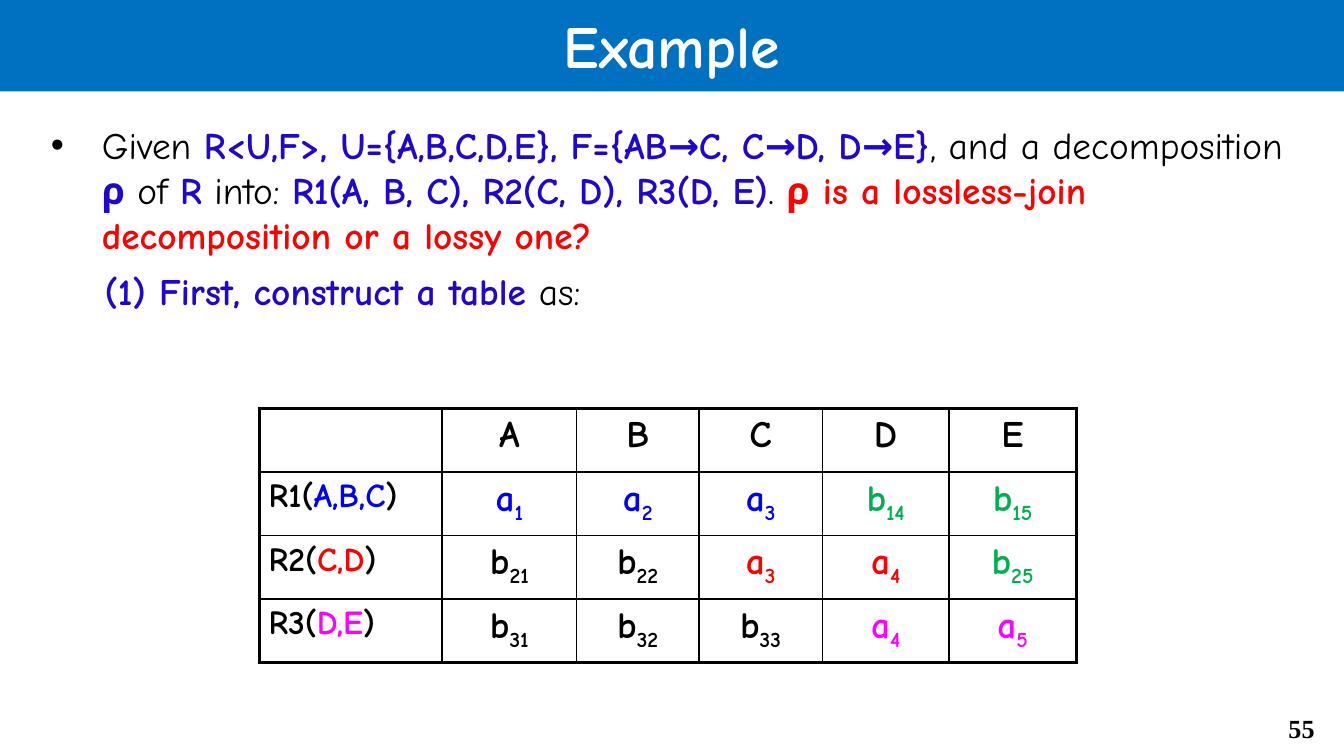
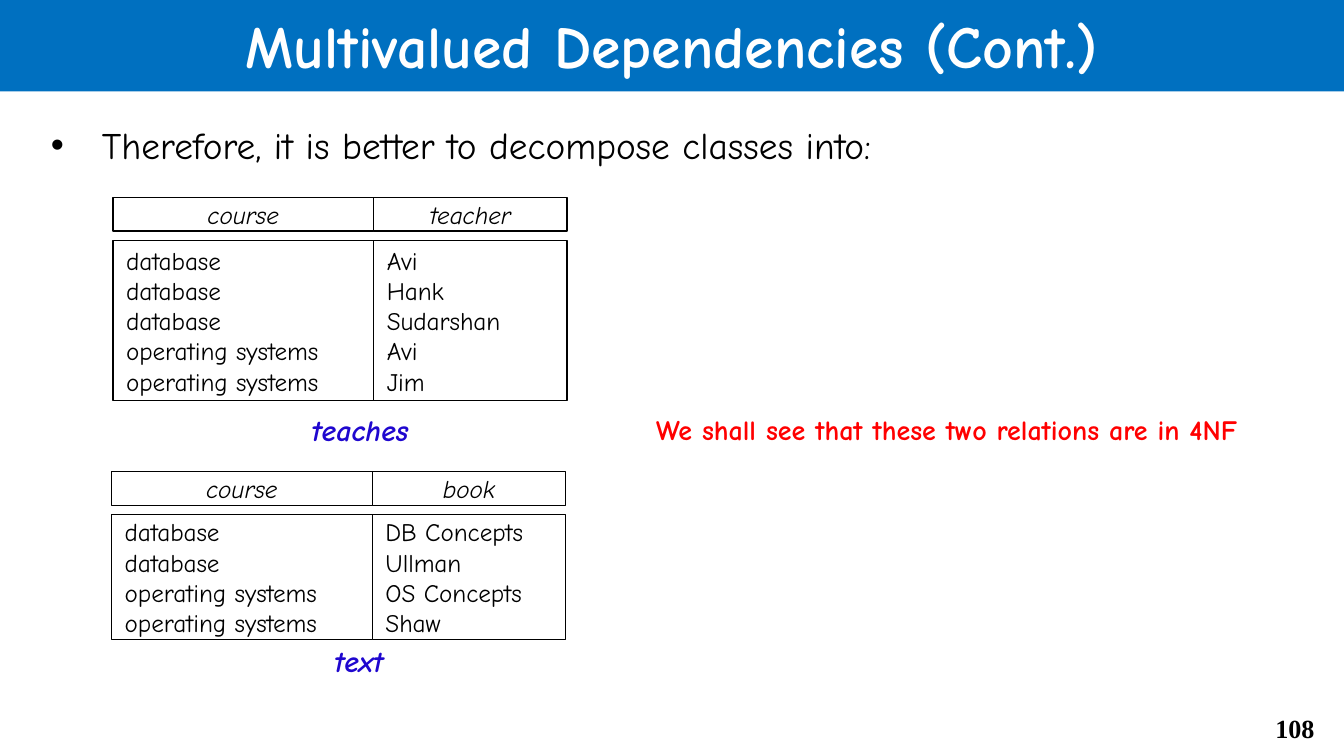
from dataclasses import dataclass

from lxml.etree import SubElement
from pptx import Presentation
from pptx.dml.color import RGBColor
from pptx.enum.shapes import MSO_SHAPE as Shape
from pptx.enum.text import MSO_ANCHOR as Anchor, MSO_AUTO_SIZE as AutoSize, PP_ALIGN as Align
from pptx.oxml.ns import qn
from pptx.util import Inches, Pt


@dataclass(frozen=True)
class Theme:
    font: str = "Comic Neue"
    number_font: str = "Times New Roman"
    band: str = "0070C0"
    white: str = "FFFFFF"
    black: str = "000000"
    indigo: str = "1F07CF"
    red: str = "FF0000"
    blue: str = "0000FF"
    green: str = "00B050"
    magenta: str = "FF00FF"
    title_size: float = 32
    body_size: float = 20
    label_size: float = 18
    caption_size: float = 16
    remark_size: float = 15
    number_size: float = 14
    relation_size: float = 13.5


THEME = Theme()
BODY_BOX = (0.28, 0.86, 9.37, 4.16)


# Text helpers
def add_run(paragraph, text, size, color=THEME.black, bold=False, italic=False,
            font=THEME.font, baseline=0):
    run = paragraph.add_run()
    run.text = text
    run.font.name = font
    run.font.size = Pt(size)
    run.font.bold = bold
    run.font.italic = italic
    run.font.color.rgb = RGBColor.from_string(color)
    if baseline:
        run._r.get_or_add_rPr().set("baseline", str(baseline * 1000))


def add_frame(slide, box):
    frame = slide.shapes.add_textbox(*map(Inches, box)).text_frame
    frame.word_wrap = True
    return frame


def add_text(slide, box, text, size, align=Align.CENTER, anchor=Anchor.TOP, **style):
    frame = add_frame(slide, box)
    frame.vertical_anchor = anchor
    frame.paragraphs[0].alignment = align
    add_run(frame.paragraphs[0], text, size, **style)


def indent(paragraph, left, hanging=0.0, bullet=None):
    properties = paragraph._p.get_or_add_pPr()
    properties.set("marL", str(Inches(left)))
    properties.set("indent", str(-Inches(hanging)))
    if bullet:
        SubElement(properties, qn("a:buFont")).set("typeface", "Arial")
        SubElement(properties, qn("a:buChar")).set("char", bullet)


# Parts shared by the slides
def add_slide(presentation, title, number):
    slide = presentation.slides.add_slide(presentation.slide_layouts[5])
    band = slide.shapes.title
    band.left, band.top, band.width, band.height = map(Inches, (0, -0.02, 10, 0.7))
    band.fill.solid()
    band.fill.fore_color.rgb = RGBColor.from_string(THEME.band)
    frame = band.text_frame
    frame.auto_size = AutoSize.NONE
    frame.vertical_anchor = Anchor.MIDDLE
    frame.paragraphs[0].alignment = Align.CENTER
    add_run(frame.paragraphs[0], title, THEME.title_size, THEME.white, bold=True)
    add_text(slide, (9.25, 5.25, 0.63, 0.34), str(number), THEME.number_size,
             Align.RIGHT, bold=True, font=THEME.number_font)
    return slide


def add_body(slide, box, bullet_runs, step_runs=()):
    """Runs are (text, colour); coloured text is bold, black text is not."""
    frame = add_frame(slide, box)
    bullet = frame.paragraphs[0]
    indent(bullet, 0.38, 0.38, "•")
    paragraphs = [(bullet, bullet_runs)]
    if step_runs:
        step = frame.add_paragraph()
        indent(step, 0.4)
        step.space_before = Pt(6)
        paragraphs.append((step, step_runs))
    for paragraph, runs in paragraphs:
        for text, color in runs:
            add_run(paragraph, text, THEME.body_size, color, bold=color != THEME.black)


# Table of the lossless-join test
def set_borders(cell, widths):
    properties = cell._tc.get_or_add_tcPr()
    for side, width in zip("LRTB", widths):
        line = SubElement(properties, qn(f"a:ln{side}"), w=str(Pt(width)))
        fill = SubElement(line, qn("a:solidFill"))
        SubElement(fill, qn("a:srgbClr"), val=THEME.black)


def add_join_table(slide, box, attributes, relations):
    """Each relation is (name, attributes, colour, symbols); a symbol is (text, colour)."""
    rows, columns = len(relations) + 1, len(attributes) + 1
    table = slide.shapes.add_table(rows, columns, *map(Inches, box)).table
    table.first_row = table.horz_banding = False
    for column, width in zip(table.columns, (1.36, 1, 0.91, 0.92, 0.94, 0.95)):
        column.width = Inches(width)

    # Thick frame, thin inner lines
    for row in range(rows):
        for column in range(columns):
            cell = table.cell(row, column)
            cell.margin_left = cell.margin_right = Inches(0.07)
            cell.margin_top = cell.margin_bottom = Inches(0.04)
            outer = (column == 0, column == columns - 1, row == 0, row == rows - 1)
            set_borders(cell, [2.25 if edge else 1 for edge in outer])
            cell.fill.background()
            if column:
                cell.text_frame.paragraphs[0].alignment = Align.CENTER

    def write(row, column, text, size, color=THEME.black, baseline=0):
        paragraph = table.cell(row, column).text_frame.paragraphs[0]
        add_run(paragraph, text, size, color, bold=True, baseline=baseline)

    for column, attribute in enumerate(attributes, 1):
        write(0, column, attribute, THEME.body_size)
    for row, (name, members, color, symbols) in enumerate(relations, 1):
        write(row, 0, name + "(", THEME.label_size)
        write(row, 0, members, THEME.label_size, color)
        write(row, 0, ")", THEME.label_size)
        for column, (symbol, symbol_color) in enumerate(symbols, 1):
            write(row, column, symbol[0], THEME.body_size, symbol_color)
            write(row, column, symbol[1:], THEME.body_size, symbol_color, baseline=-25)


# Relation drawn as boxes: header above, one box of values per column
def add_relation_box(slide, box, lines, align, italic=False):
    shape = slide.shapes.add_shape(Shape.RECTANGLE, *map(Inches, box))
    shape.shadow.inherit = False
    shape.fill.solid()
    shape.fill.fore_color.rgb = RGBColor.from_string(THEME.white)
    shape.line.color.rgb = RGBColor.from_string(THEME.black)
    shape.line.width = Pt(0.75)
    frame = shape.text_frame
    frame.word_wrap = True
    frame.vertical_anchor = Anchor.MIDDLE
    frame.margin_top = frame.margin_bottom = 0
    for index, line in enumerate(lines):
        paragraph = frame.add_paragraph() if index else frame.paragraphs[0]
        paragraph.alignment = align
        add_run(paragraph, line, THEME.relation_size, italic=italic)


def add_relation(slide, box, columns, caption, caption_gap):
    left, top, width, height = box
    first_width = 1.94
    header_height, values_offset = 0.25, 0.32
    column_boxes = ((left, first_width), (left + first_width, width - first_width))
    for (column_left, column_width), (header, values) in zip(column_boxes, columns):
        add_relation_box(slide, (column_left, top, column_width, header_height),
                         [header], Align.CENTER, italic=True)
        add_relation_box(slide, (column_left, top + values_offset, column_width,
                                 height - values_offset), values, Align.LEFT)
    add_text(slide, (left + 1.24, top + height + caption_gap, 1.2, 0.37), caption,
             THEME.caption_size, anchor=Anchor.MIDDLE, color=THEME.indigo,
             bold=True, italic=True)


# Slides
def build_example(presentation):
    black, indigo, red = THEME.black, THEME.indigo, THEME.red
    blue, green, magenta = THEME.blue, THEME.green, THEME.magenta
    slide = add_slide(presentation, "Example", 55)
    add_body(slide, BODY_BOX, [
        ("Given ", black),
        ("R<U,F>, U={A,B,C,D,E}, F={AB→C, C→D, D→E}", indigo),
        (", and a decomposition ", black),
        ("ρ", indigo),
        (" of ", black),
        ("R", indigo),
        (" into: ", black),
        ("R1(A, B, C), R2(C, D), R3(D, E)", indigo),
        (". ", black),
        ("ρ is a lossless-join decomposition or a lossy one?", red),
    ], [("(1) First, construct a table", indigo), (" as:", black)])
    add_join_table(slide, (1.93, 3.04, 6.08, 1.89), "ABCDE", [
        ("R1", "A,B,C", blue, [("a1", blue), ("a2", blue), ("a3", blue),
                               ("b14", green), ("b15", green)]),
        ("R2", "C,D", red, [("b21", black), ("b22", black), ("a3", red),
                            ("a4", red), ("b25", green)]),
        ("R3", "D,E", magenta, [("b31", black), ("b32", black), ("b33", black),
                                ("a4", magenta), ("a5", magenta)]),
    ])


def build_dependencies(presentation):
    slide = add_slide(presentation, "Multivalued Dependencies (Cont.)", 108)
    add_body(slide, BODY_BOX, [
        ("Therefore, it is better to decompose classes into:", THEME.black)])
    database, systems = "database", "operating systems"
    add_relation(slide, (0.84, 1.47, 3.38, 1.51), [
        ("course", [database] * 3 + [systems] * 2),
        ("teacher", ["Avi", "Hank", "Sudarshan", "Avi", "Jim"]),
    ], "teaches", 0.03)
    add_relation(slide, (0.83, 3.51, 3.38, 1.25), [
        ("course", [database] * 2 + [systems] * 2),
        ("book", ["DB Concepts", "Ullman", "OS Concepts", "Shaw"]),
    ], "text", -0.03)
    add_text(slide, (4.37, 3.02, 5.35, 0.34),
             "We shall see that these two relations are in 4NF",
             THEME.remark_size, color=THEME.red, bold=True)


def main():
    presentation = Presentation()
    # Widescreen, 16:9
    presentation.slide_width = Inches(10)
    presentation.slide_height = Inches(10 * 9 / 16)
    build_example(presentation)
    build_dependencies(presentation)
    presentation.save("out.pptx")


if __name__ == "__main__":
    main()
